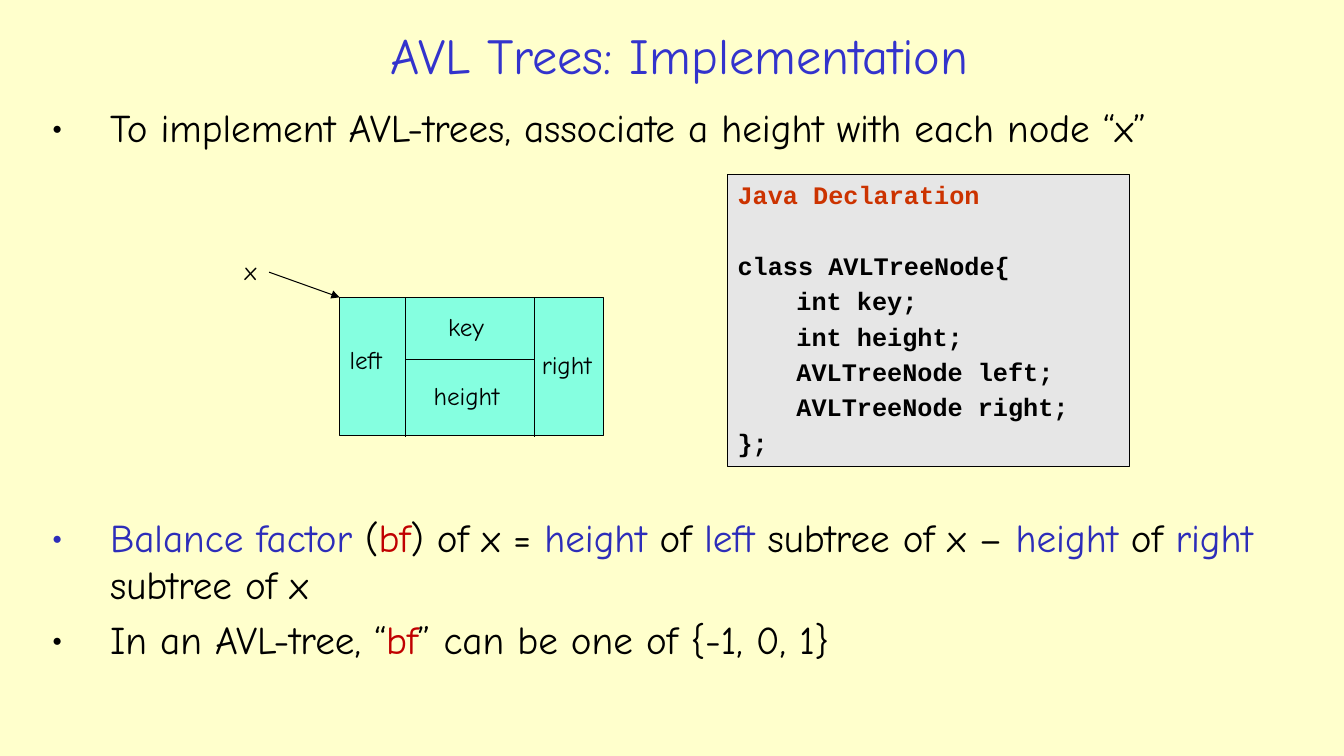
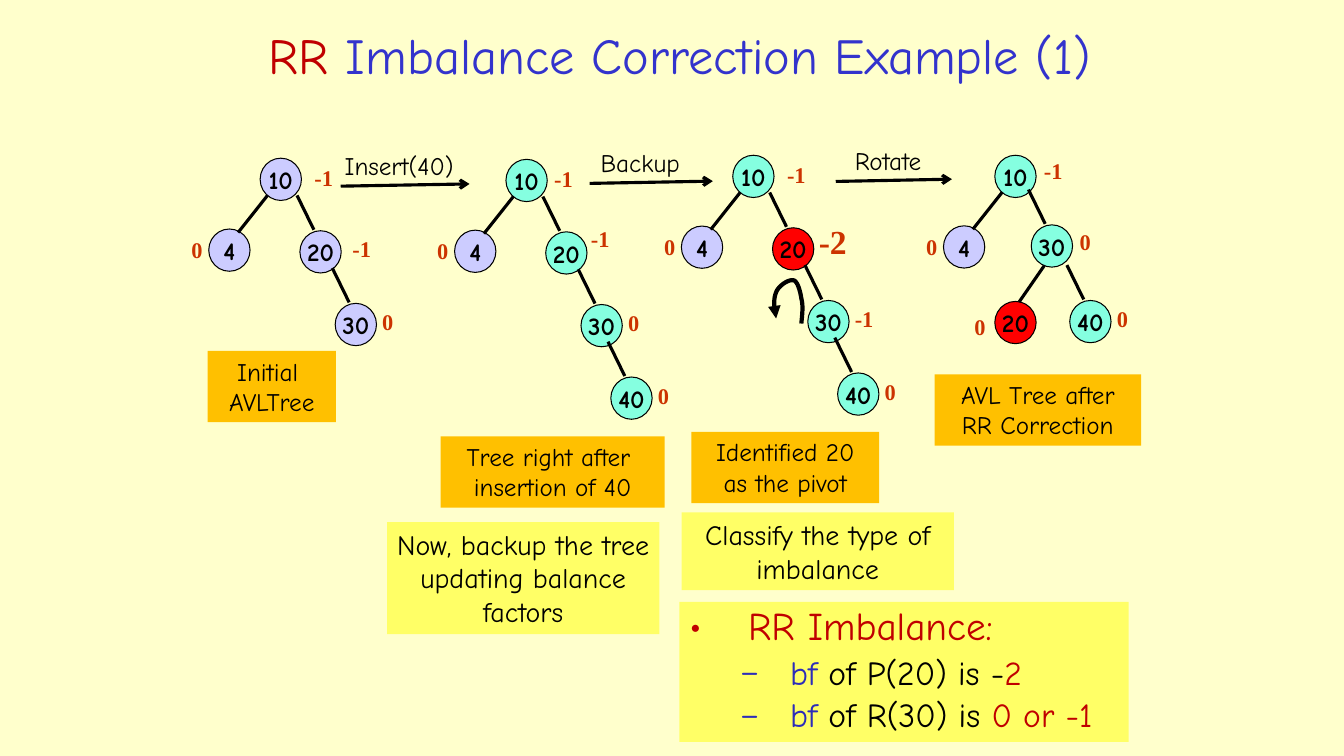
from dataclasses import dataclass

from lxml.etree import SubElement
from pptx import Presentation
from pptx.dml.color import RGBColor
from pptx.enum.shapes import MSO_CONNECTOR, MSO_SHAPE
from pptx.enum.text import MSO_ANCHOR as Anchor, PP_ALIGN as Align
from pptx.oxml.ns import qn
from pptx.util import Pt

CREAM = RGBColor(0xFF, 0xFF, 0xCC)
BLACK = RGBColor(0, 0, 0)
TITLE_BLUE = RGBColor(0x33, 0x33, 0xCC)
BLUE = RGBColor(0x2D, 0x2D, 0xB9)
CRIMSON = RGBColor(0xC0, 0, 0)
RUST = RGBColor(0xCC, 0x33, 0)
MINT = RGBColor(0x85, 0xFF, 0xE0)
LILAC = RGBColor(0xCC, 0xCC, 0xFF)
RED = RGBColor(0xFF, 0, 0)
GREY = RGBColor(0xE6, 0xE6, 0xE6)
ORANGE = RGBColor(0xFF, 0xC0, 0)
YELLOW = RGBColor(0xFF, 0xFF, 0x66)

TITLE = {"name": "Comic Neue", "size": Pt(36)}
BODY = {"name": "Comic Neue", "size": Pt(28)}
SUB_BODY = {"name": "Comic Neue", "size": Pt(24)}
REMARK = {"name": "Comic Neue", "size": Pt(20)}
LABEL = {"name": "Comic Neue", "size": Pt(18)}
KEY = {**LABEL, "bold": True}
CODE = {"name": "Courier New", "size": Pt(18), "bold": True}
FACTOR = {"name": "Times New Roman", "size": Pt(16), "bold": True}
BIG_FACTOR = {**FACTOR, "size": Pt(24)}

CENTRED = {"alignment": Align.CENTER}
NODE_W, NODE_H = 29.5, 30.2
# For each kind: where an edge meets the child, and the way back to the parent
EDGES = {"left": ((21, 2.5), (21, -26.5)),
         "steep left": ((17.3, 0.5), (18, -26)),
         "right": ((10, -0.7), (-12, -24.5))}
FACTOR_RIGHT, FACTOR_LEFT = (26.5, 0), (-19.5, 1.8)


@dataclass
class Node:
    """A tree node; x and y are measured from the root's corner."""
    key: str
    x: float
    y: float
    fill: RGBColor
    factor: str
    factor_at: tuple = FACTOR_RIGHT
    edge: str = ""
    factor_font: dict = None


def set_all(target, formats):
    for attribute, value in formats.items():
        setattr(target, attribute, value)


def add_bullet(paragraph, char, margin, hanging):
    props = paragraph._p.get_or_add_pPr()
    props.set("marL", str(Pt(margin)))
    props.set("indent", str(-Pt(hanging)))
    SubElement(props, qn("a:buFont")).set("typeface", BODY["name"])
    SubElement(props, qn("a:buChar")).set("char", char)


def write(paragraph, runs, font, layout):
    """Fill a paragraph with (text, colour) runs."""
    set_all(paragraph, layout)
    for text, colour in runs:
        run = paragraph.add_run()
        run.text = text
        set_all(run.font, font)
        run.font.color.rgb = colour


def paragraphs_of(frame, count):
    return [frame.paragraphs[0]] + [frame.add_paragraph() for _ in range(count - 1)]


def write_lines(frame, lines, font, layout, colour=BLACK):
    for paragraph, line in zip(paragraphs_of(frame, len(lines)), lines):
        write(paragraph, [(line, colour)], font, layout)


def add_text(slide, box, wrap=False, anchor=Anchor.TOP):
    frame = slide.shapes.add_textbox(*map(Pt, box)).text_frame
    set_all(frame, {"word_wrap": wrap, "vertical_anchor": anchor})
    return frame


def add_label(slide, box, text, font=LABEL, colour=BLACK):
    write_lines(add_text(slide, box), [text], font, {}, colour)


def add_panel(slide, box, fill, kind=MSO_SHAPE.RECTANGLE, outlined=False,
              wrap=True, anchor=Anchor.TOP):
    panel = slide.shapes.add_shape(kind, *map(Pt, box))
    panel.shadow.inherit = False
    panel.fill.solid()
    panel.fill.fore_color.rgb = fill
    if outlined:
        panel.line.color.rgb = BLACK
        panel.line.width = Pt(0.75)
    else:
        panel.line.fill.background()
    set_all(panel.text_frame, {"word_wrap": wrap, "vertical_anchor": anchor})
    return panel.text_frame


def add_arrowhead(stroke, head):
    SubElement(stroke.line._get_or_add_ln(), qn("a:tailEnd")).set("type", head)


def add_line(slide, start, end, width=0.75, head=None):
    line = slide.shapes.add_connector(MSO_CONNECTOR.STRAIGHT, *map(Pt, (*start, *end)))
    line.line.color.rgb = BLACK
    line.line.width = Pt(width)
    if head:
        add_arrowhead(line, head)
    SubElement(line._element.spPr, qn("a:effectLst"))


def new_slide(deck, title_runs):
    slide = deck.slides.add_slide(deck.slide_layouts[6])
    slide.background.fill.solid()
    slide.background.fill.fore_color.rgb = CREAM
    title = add_text(slide, (142, 11, 687, 55), True, Anchor.MIDDLE)
    write(title.paragraphs[0], title_runs, TITLE, CENTRED)
    return slide


def add_bullets(slide, box, items):
    frame = add_text(slide, box, wrap=True)
    for paragraph, runs in zip(paragraphs_of(frame, len(items)), items):
        add_bullet(paragraph, "•", 42, 42)
        write(paragraph, runs, BODY, {"space_before": Pt(5.6)})


def add_node_record(slide, x, y):
    """The fields of a tree node, with the pointer x at its corner."""
    width, height, left_col, right_col, middle = 188.6, 98.6, 47, 139, 44.6
    add_panel(slide, (x, y, width, height), MINT, outlined=True)
    for col in (left_col, right_col):
        add_line(slide, (x + col, y), (x + col, y + height + 1))
    add_line(slide, (x + left_col, y + middle), (x + right_col, y + middle))
    add_line(slide, (x - 50.4, y - 18), (x, y), head="triangle")
    for text, dx, dy, label_w in (("left", 0, 30.3, 47.5), ("right", 137.3, 33.3, 57),
                                  ("key", 70.5, 6.5, 44.6), ("height", 60, 56, 71),
                                  ("x", -75, -33.7, 25)):
        add_label(slide, (x + dx, y + dy, label_w, 28.8), text)


def add_code(slide, box, heading, lines):
    """Each code line is (indent level, text)."""
    frame = add_panel(slide, box, GREY, outlined=True)
    spaced = [(heading, RUST, 0, 4.7)]
    for number, (level, text) in enumerate(lines):
        spaced.append((text, BLACK, level, 3.6 if number else 29.2))
    for paragraph, (text, colour, level, gap) in zip(
            paragraphs_of(frame, len(spaced)), spaced):
        paragraph._p.get_or_add_pPr().set("marL", str(Pt(42 * level)))
        write(paragraph, [(text, colour)], CODE,
              {"alignment": Align.LEFT, "space_before": Pt(gap)})


def add_factor(slide, node, left, top):
    """The balance factor beside a node, in a box wide enough for one line."""
    font = node.factor_font or FACTOR
    dx, dy = node.factor_at
    width = 15 + font["size"].pt * (0.9 if node.factor.startswith("-") else 0.5)
    add_label(slide, (left + dx, top + dy, width, 26.6), node.factor, font, RUST)


def add_tree(slide, x, y, nodes, caption, caption_box):
    for node in nodes:
        left, top = x + node.x, y + node.y
        circle = add_panel(slide, (left, top, NODE_W, NODE_H), node.fill,
                           MSO_SHAPE.OVAL, True, False, Anchor.MIDDLE)
        write_lines(circle, [node.key], KEY, CENTRED)
        add_factor(slide, node, left, top)
        if node.edge:
            (port_x, port_y), (back_x, back_y) = EDGES[node.edge]
            end_x, end_y = left + port_x, top + port_y
            add_line(slide, (end_x + back_x, end_y + back_y), (end_x, end_y), 2.25)
    dx, dy, width = caption_box
    write_lines(add_panel(slide, (x + dx, y + dy, width, 51), ORANGE, wrap=False),
                caption, LABEL, CENTRED)


def chain(fills, factors, root_at, second_at, second_font=None):
    """Nodes 10, 4, 20, 30, 40 leaning right, as many as there are fills."""
    nodes = [
        Node("10", 0, 0, fills[0], factors[0], root_at),
        Node("4", -36.7, 50.6, LILAC, "0", FACTOR_LEFT, "left"),
        Node("20", 28.4, 51.8, fills[1], factors[1], second_at, "right", second_font),
        Node("30", 53.6, 103.7, fills[2], factors[2], edge="right")]
    if len(fills) > 3:
        nodes.append(Node("40", 74.9, 155.5, fills[3], factors[3], edge="right"))
    return nodes


def add_step(slide, x, y, length, text, label_dx, label_w):
    """An arrow from one tree to the next with its label above."""
    add_line(slide, (x, y), (x + length, y - 1.6), 2.25, "arrow")
    add_label(slide, (x + label_dx, y - 29.5, label_w, 28.8), text)


def bezier(start, ctrl_a, ctrl_b, end, steps=10):
    for step in range(1, steps + 1):
        t = step / steps
        weights = ((1 - t) ** 3, 3 * t * (1 - t) ** 2, 3 * t * t * (1 - t), t ** 3)
        yield tuple(sum(w * point[axis] for w, point in
                        zip(weights, (start, ctrl_a, ctrl_b, end))) for axis in (0, 1))


def add_rotation_arrow(slide, x, y):
    """A curved arrow bending left over the top, from its box corner."""
    pen = (18, 31.7)
    curves = (((18.7, 25.2), (19.4, 18.8), (18, 13.7)),
              ((17.3, 8.7), (15.1, 0.8), (12.2, 0.8)),
              ((8.6, 0), (1.4, 5.1), (0, 9.4)),
              ((-2.2, 14.4), (-1.4, 20.9), (0, 28.1)))
    outline = slide.shapes.build_freeform(Pt(x + pen[0]), Pt(y + pen[1]))
    for curve in curves:
        outline.add_line_segments([(Pt(x + px), Pt(y + py))
                                   for px, py in bezier(pen, *curve)], close=False)
        pen = curve[-1]
    arrow = outline.convert_to_shape()
    arrow.shadow.inherit = False
    arrow.fill.background()
    arrow.line.color.rgb = BLACK
    arrow.line.width = Pt(3)
    add_arrowhead(arrow, "triangle")


def add_imbalance_rule(slide, box):
    frame = add_panel(slide, box, YELLOW)
    entries = (
        ("•", 42, 42, BODY, [("RR Imbalance:", CRIMSON)]),
        ("–", 72, 36, SUB_BODY, [("bf", BLUE), (" of P(20) is -", BLACK), ("2", CRIMSON)]),
        ("–", 72, 36, SUB_BODY,
         [("bf", BLUE), (" of R(30) is ", BLACK), ("0 or -1", CRIMSON)]))
    for paragraph, (char, margin, hanging, font, runs) in zip(
            paragraphs_of(frame, len(entries)), entries):
        add_bullet(paragraph, char, margin, hanging)
        write(paragraph, runs, font, {"alignment": Align.LEFT, "line_spacing": 0.9,
                                      "space_before": Pt(font["size"].pt * 0.2)})


def implementation_slide(deck):
    slide = new_slide(deck, [("AVL Trees: Implementation", TITLE_BLUE)])
    add_bullets(slide, (29.5, 70, 897, 82), [
        [("To implement AVL-trees, associate a height with each node “x”", BLACK)]])
    add_node_record(slide, 242.6, 212.4)
    add_bullets(slide, (29.5, 363, 889, 156), [
        [("Balance factor", BLUE), (" (", BLACK), ("bf", CRIMSON), (") of x = ", BLACK),
         ("height", BLUE), (" of ", BLACK), ("left ", BLUE), ("subtree of x – ", BLACK),
         ("height", BLUE), (" of ", BLACK), ("right ", BLUE), ("subtree of x", BLACK)],
        [("In an AVL-tree, “", BLACK), ("bf", CRIMSON),
         ("” can be one of {-1, 0, 1}", BLACK)]])
    add_code(slide, (519.8, 124.6, 287, 208.8), "Java Declaration", [
        (0, "class AVLTreeNode{"), (1, "int key;"), (1, "int height;"),
        (1, "AVLTreeNode left;"), (1, "AVLTreeNode right;"), (0, "};")])


def correction_slide(deck):
    slide = new_slide(deck, [("RR", CRIMSON),
                             (" Imbalance Correction Example (1)", TITLE_BLUE)])
    initial = chain([LILAC] * 3, ["-1", "-1", "0"], (31.7, 0.7), (30.5, -0.7))
    inserted = chain([MINT] * 4, ["-1", "-1", "0", "0"], (27.4, 0.7), (25.2, -8.6))
    pivoted = chain([MINT, RED, MINT, MINT], ["-1", "-2", "-1", "0"],
                    (31.7, 0.7), (26, -8.6), BIG_FACTOR)
    corrected = [
        Node("10", 0, 0, MINT, "-1", (28, -2)),
        Node("4", -36.7, 50.4, LILAC, "0", FACTOR_LEFT, "left"),
        Node("30", 26, 49.7, MINT, "0", (27.4, -1.4), "right"),
        Node("20", 0, 104.4, RED, "0", (-21.6, 5), "steep left"),
        Node("40", 53.5, 103.7, MINT, "0", edge="right")]
    for x, y, nodes, caption, caption_box in (
            (185.8, 113, initial, ["Initial ", "AVLTree"], (-37.4, 137.6, 91.6)),
            (361.4, 113.8, inserted, ["Tree right after ", "insertion of 40"],
             (-46.6, 197.8, 160)),
            (523.4, 110.9, pivoted, ["Identified 20", "as the pivot"], (-29.5, 197.5, 134)),
            (710.6, 110.9, corrected, ["AVL Tree after", "RR Correction"],
             (-43, 156.5, 147.5))):
        add_tree(slide, x, y, nodes, caption, caption_box)
    add_rotation_arrow(slide, 554.4, 199.4)
    for step in ((243.4, 133, 92, "Insert(40)", -4.3, 106),
                 (421.2, 131, 88, "Backup", 0.7, 74),
                 (597, 129.6, 83, "Rotate", 6.5, 73.5)):
        add_step(slide, *step)
    for box, remark in (((486.9, 366, 194.5, 55.6), "Classify the type of imbalance"),
                        ((276.5, 373, 194.5, 80),
                         "Now, backup the tree updating balance factors")):
        write_lines(add_panel(slide, box, YELLOW), [remark], REMARK, CENTRED)
    add_imbalance_rule(slide, (485.3, 430, 321, 100))


def main():
    deck = Presentation()
    deck.slide_width, deck.slide_height = Pt(960), Pt(540)
    implementation_slide(deck)
    correction_slide(deck)
    deck.save("out.pptx")


if __name__ == "__main__":
    main()
